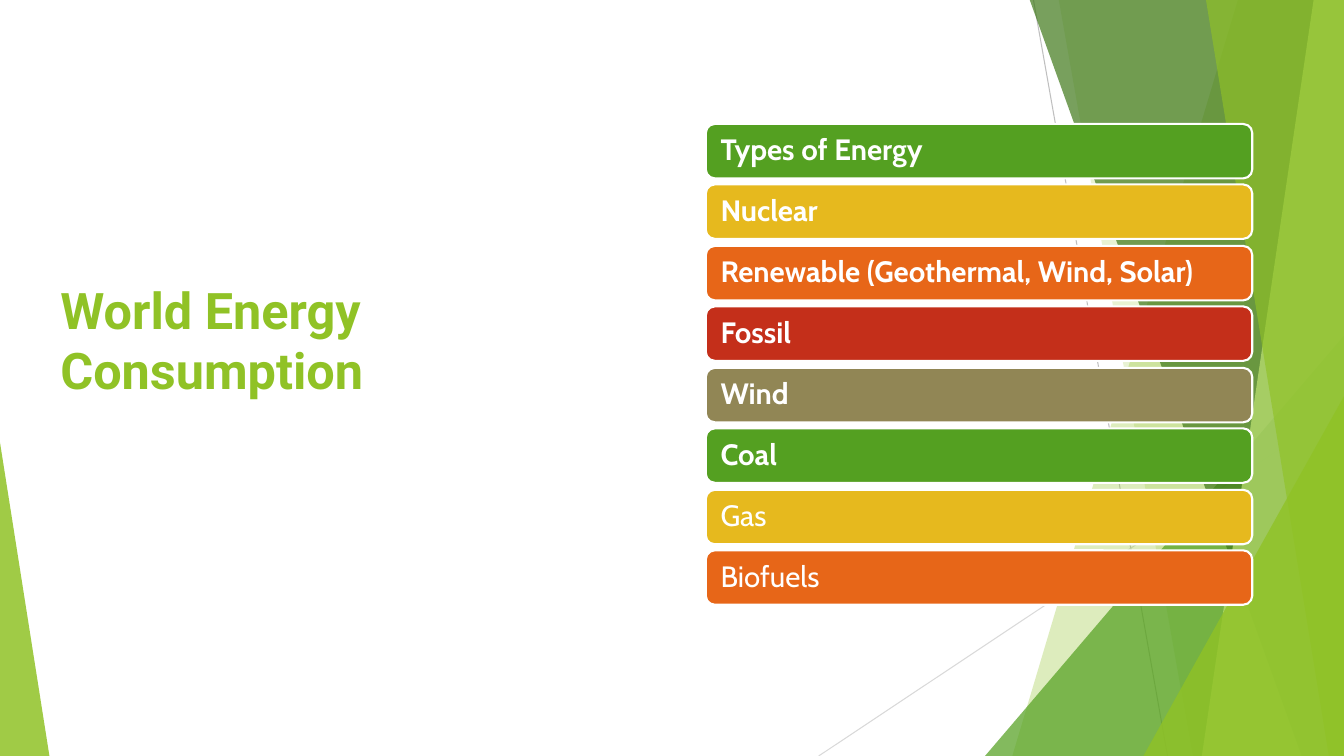
import pptx
import pptx.util
import pptx.dml.color
import pptx.enum.shapes
import pptx.enum.text
import pptx.oxml
import pptx.oxml.ns

PX = 9144
WIDTH, HEIGHT = 1333, 750
GREEN, LIME, GOLD, ORANGE = "54A021", "90C226", "E6B91E", "E76618"
RED, KHAKI, WHITE = "C42F1A", "918655", "FFFFFF"
BARS = [
    ("Types of Energy", GREEN, True),
    ("Nuclear", GOLD, True),
    ("Renewable (Geothermal, Wind, Solar)", ORANGE, True),
    ("Fossil", RED, True),
    ("Wind", KHAKI, True),
    ("Coal", GREEN, True),
    ("Gas", GOLD, False),
    ("Biofuels", ORANGE, False),
]
BAR_TOP, BAR_SPAN = 123, 423


def emu(*lengths):
    return [length * PX for length in lengths]


def color(value):
    return pptx.dml.color.RGBColor.from_string(value)


def apply(target, values):
    for name, value in values.items():
        setattr(target, name, value)


def fill(sp, value, opacity=100):
    sp.shadow.inherit = False
    sp.fill.solid()
    sp.fill.fore_color.rgb = color(value)
    if opacity < 100:
        clr = sp.fill._xPr.find(".//" + pptx.oxml.ns.qn("a:srgbClr"))
        alpha = pptx.oxml.parse_xml(
            f'<a:alpha {pptx.oxml.ns.nsdecls("a")} val="{opacity * 1000}"/>')
        clr.append(alpha)


def add_line(s, ends, value):
    line = s.shapes.add_connector(
        pptx.enum.shapes.MSO_CONNECTOR.STRAIGHT, *emu(*ends))
    line.line.color.rgb = color(value)
    line.line.width = pptx.util.Pt(0.75)
    line._element.spPr.append(pptx.oxml.parse_xml(
        f'<a:effectLst {pptx.oxml.ns.nsdecls("a")}/>'))


def add_band(s, top_x, bottom_x, value, opacity):
    builder = s.shapes.build_freeform(top_x, -1, scale=PX)
    builder.add_line_segments(
        [(WIDTH, -1), (WIDTH, HEIGHT), (bottom_x, HEIGHT)], close=True)
    sp = builder.convert_to_shape()
    fill(sp, value, opacity)
    sp.line.fill.background()


def add_triangle(s, box, apex, value, opacity):
    sp = s.shapes.add_shape(
        pptx.enum.shapes.MSO_SHAPE.ISOSCELES_TRIANGLE, *emu(*box))
    sp.adjustments[0] = apex
    fill(sp, value, opacity)
    sp.line.fill.background()


def write(sp, text, frame, font, value, spacing=1.0):
    tf = sp.text_frame
    apply(tf, {"word_wrap": True,
               "vertical_anchor": pptx.enum.text.MSO_ANCHOR.MIDDLE, **frame})
    p = tf.paragraphs[0]
    apply(p, {"alignment": pptx.enum.text.PP_ALIGN.LEFT,
              "line_spacing": spacing})
    r = p.add_run()
    r.text = text
    apply(r.font, font)
    r.font.color.rgb = color(value)


def add_title(s, text):
    sp = s.shapes.add_textbox(*emu(50, 63, 627, 606))
    write(sp, text, {"margin_bottom": 64 * PX},
          {"name": "Roboto", "size": pptx.util.Pt(36), "bold": True}, LIME)


def add_bar(s, top, text, value, bold):
    sp = s.shapes.add_shape(
        pptx.enum.shapes.MSO_SHAPE.ROUNDED_RECTANGLE, *emu(700, top, 542, 54))
    fill(sp, value)
    sp.line.color.rgb = color(WHITE)
    sp.line.width = pptx.util.Pt(1.5)
    write(sp, text, {"margin_left": 12 * PX, "margin_right": 12 * PX},
          {"name": "Cabin", "size": pptx.util.Pt(21), "bold": bold},
          WHITE, 0.9)


def add_backdrop(s):
    add_line(s, (1025, 0, 1158, HEIGHT), "BFBFBF")
    add_line(s, (WIDTH, 403, 812, HEIGHT), "D9D9D9")
    add_band(s, 1228, 1004, LIME, 30)
    add_band(s, 1050, 1183, LIME, 20)
    add_triangle(s, (977, 333, 356, 417), 1, GREEN, 72)
    add_band(s, 1021, 1291, "3F7819", 70)
    add_band(s, 1303, 1192, "C0E474", 70)
    add_band(s, 1196, 1318, LIME, 65)
    add_triangle(s, (1134, 393, 199, 357), 1, LIME, 80)
    add_triangle(s, (0, 439, 49, 311), 0, LIME, 85)


def main():
    prs = pptx.Presentation()
    prs.slide_width, prs.slide_height = emu(WIDTH, HEIGHT)
    s = prs.slides.add_slide(prs.slide_layouts[6])
    add_backdrop(s)
    add_title(s, "World Energy Consumption")
    for i, (text, value, bold) in enumerate(BARS):
        top = BAR_TOP + round(i * BAR_SPAN / (len(BARS) - 1))
        add_bar(s, top, text, value, bold)
    prs.save("out.pptx")


if __name__ == "__main__":
    main()
